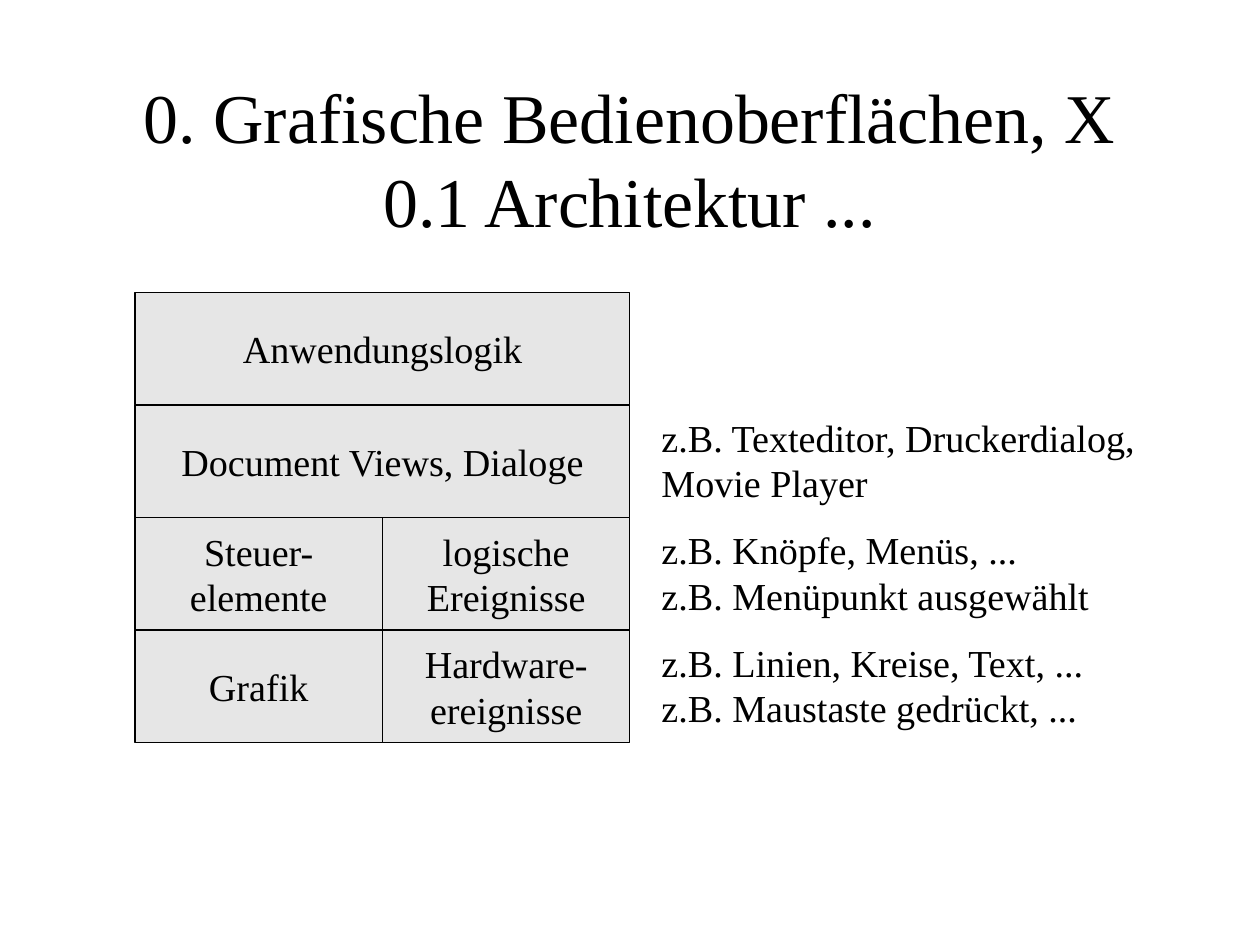
from dataclasses import dataclass

from pptx import Presentation
from pptx.dml.color import RGBColor
from pptx.enum.shapes import MSO_SHAPE as Shape
from pptx.enum.text import MSO_ANCHOR as Anchor, MSO_AUTO_SIZE as AutoSize, PP_ALIGN as Align
from pptx.util import Inches, Pt


@dataclass(frozen=True)
class Theme:
    """Colours, font and type sizes of the slide."""
    ink: RGBColor = RGBColor(0x00, 0x00, 0x00)
    layer: RGBColor = RGBColor(0xE6, 0xE6, 0xE6)
    font: str = "Times New Roman"
    title: Pt = Pt(44)
    body: Pt = Pt(24)


THEME = Theme()

HEADING = ["0. Grafische Bedienoberflächen, X", "0.1 Architektur ..."]
LAYERS = [
    ([["Anwendungslogik"]], []),
    ([["Document Views, Dialoge"]],
     ["z.B. Texteditor, Druckerdialog, Movie Player"]),
    ([["Steuer-", "elemente"], ["logische", "Ereignisse"]],
     ["z.B. Knöpfe, Menüs, ...", "z.B. Menüpunkt ausgewählt"]),
    ([["Grafik"], ["Hardware-", "ereignisse"]],
     ["z.B. Linien, Kreise, Text, ...", "z.B. Maustaste gedrückt, ..."]),
]


def metric(centimetres):
    """Turn centimetres into a slide length."""
    return Inches(centimetres / 2.54)


def write(frame, lines, size, align, anchor, inset=0, auto_size=AutoSize.NONE):
    """Fill a text frame with one paragraph of broken lines."""
    margin = metric(inset)
    settings = {
        "word_wrap": True, "auto_size": auto_size, "vertical_anchor": anchor,
        "margin_left": margin, "margin_top": margin,
        "margin_right": margin, "margin_bottom": margin,
    }
    for name, value in settings.items():
        setattr(frame, name, value)
    paragraph = frame.paragraphs[0]
    paragraph.alignment = align
    for index, line in enumerate(lines):
        if index:
            paragraph.add_line_break()
        run = paragraph.add_run()
        run.text = line
        run.font.name = THEME.font
        run.font.size = size
        run.font.color.rgb = THEME.ink


def add_heading(slide, left, top, width, height):
    """Place and format the title."""
    heading = slide.shapes.title
    box = {"left": left, "top": top, "width": width, "height": height}
    for name, value in box.items():
        setattr(heading, name, metric(value))
    write(heading.text_frame, HEADING, THEME.title, Align.CENTER, Anchor.MIDDLE,
          auto_size=AutoSize.SHAPE_TO_FIT_TEXT)


def add_layer(slide, parts, left, top, width, height):
    """Split one layer of the architecture into equal parts."""
    part_width = width / len(parts)
    for column, lines in enumerate(parts):
        part = slide.shapes.add_shape(
            Shape.RECTANGLE, metric(left + column * part_width), metric(top),
            metric(part_width), metric(height))
        part.shadow.inherit = False
        part.fill.solid()
        part.fill.fore_color.rgb = THEME.layer
        part.line.color.rgb = THEME.ink
        part.line.width = Pt(0)
        write(part.text_frame, lines, THEME.body, Align.CENTER, Anchor.MIDDLE)


def add_examples(slide, lines, left, top, width, height):
    """Place the examples that belong to one layer."""
    examples = slide.shapes.add_textbox(
        metric(left), metric(top), metric(width), metric(height))
    write(examples.text_frame, lines, THEME.body, Align.LEFT, Anchor.TOP,
          inset=0.2, auto_size=AutoSize.SHAPE_TO_FIT_TEXT)


def add_architecture(slide, left, top, width, height, gap=0.5):
    """Stack the layers on the left with their examples on the right."""
    column_width = (width - gap) / 2
    layer_height = height / len(LAYERS)
    for row, (parts, examples) in enumerate(LAYERS):
        layer_top = top + row * layer_height
        add_layer(slide, parts, left, layer_top, column_width, layer_height)
        if examples:
            add_examples(slide, examples, left + column_width + gap, layer_top,
                         column_width, layer_height)


def main():
    """Build the slide and save it."""
    deck = Presentation()
    deck.slide_width, deck.slide_height = metric(28), metric(21)
    deck.element.sldSz.attrib.pop("type", None)
    slide = deck.slides.add_slide(deck.slide_layouts[5])
    add_heading(slide, 2.05, 1.75, 23.9, 3.5)
    add_architecture(slide, 3, 6.5, 22.5, 10)
    deck.save("out.pptx")


if __name__ == "__main__":
    main()
